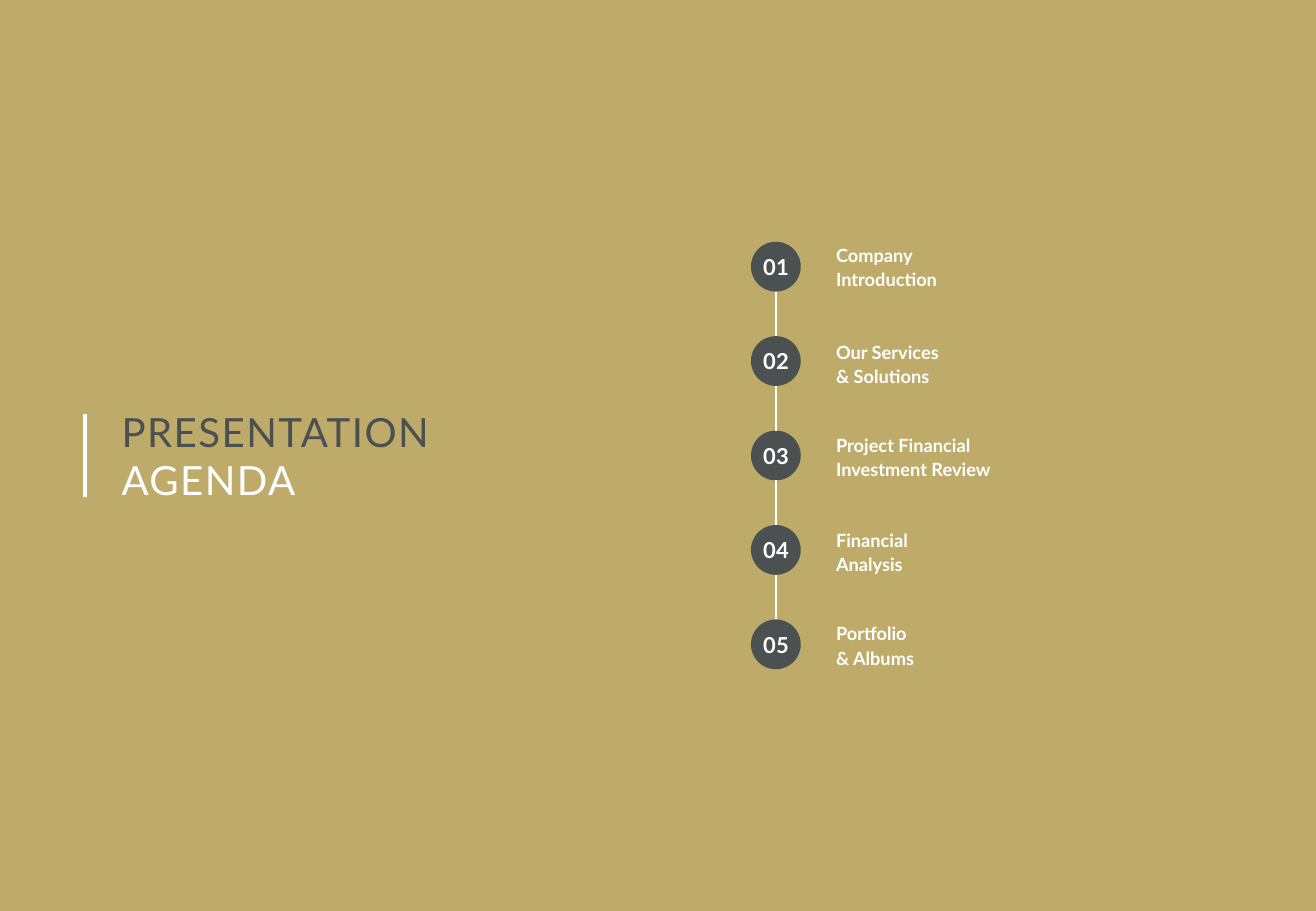
"""Build the presentation agenda slide with a five-step timeline."""
from dataclasses import dataclass

from lxml import etree
from pptx import Presentation
from pptx.dml.color import RGBColor
from pptx.enum.shapes import MSO_CONNECTOR, MSO_SHAPE
from pptx.enum.text import MSO_ANCHOR, MSO_AUTO_SIZE, PP_ALIGN
from pptx.oxml.ns import qn
from pptx.shapes.autoshape import Shape
from pptx.shapes.connector import Connector
from pptx.slide import Slide
from pptx.text.text import TextFrame, _Paragraph
from pptx.util import Inches, Pt

LINE, OVAL = MSO_CONNECTOR.STRAIGHT, MSO_SHAPE.OVAL
TOP, MIDDLE = MSO_ANCHOR.TOP, MSO_ANCHOR.MIDDLE
LEFT, CENTER = PP_ALIGN.LEFT, PP_ALIGN.CENTER
FIXED = MSO_AUTO_SIZE.NONE

GOLD = RGBColor(0xBE, 0xAA, 0x69)
SLATE = RGBColor(0x4B, 0x50, 0x50)
WHITE = RGBColor(0xFF, 0xFF, 0xFF)
FONT = "Lato"

DOT_X, DOT_SIZE = 6.18, 0.41
FIRST_Y, LAST_Y = 1.99, 5.1
LABEL_X = 6.88


@dataclass(frozen=True)
class Step:
    """Hold the two label lines of an agenda step and their top."""

    lines: tuple[str, str]
    top: float


STEPS = (
    Step(("Company", "Introduction"), 1.99),
    Step(("Our Services", "& Solutions"), 2.79),
    Step(("Project Financial", "Investment Review"), 3.56),
    Step(("Financial", "Analysis"), 4.34),
    Step(("Portfolio", "& Albums"), 5.11),
)


def set_frame(frame: TextFrame, anchor: MSO_ANCHOR, wrap: bool) -> None:
    """Clear the margins and set the anchor and wrapping."""
    frame.margin_left = frame.margin_right = 0
    frame.margin_top = frame.margin_bottom = 0
    frame.auto_size = FIXED
    frame.vertical_anchor = anchor
    frame.word_wrap = wrap


def add_run(para: _Paragraph, text: str, size: float, color: RGBColor,
            bold: bool = False, track: int = 0) -> None:
    """Add one run, with tracking in hundredths of a point."""
    run = para.add_run()
    run.text = text
    run.font.name = FONT
    run.font.size = Pt(size)
    run.font.bold = bold
    run.font.color.rgb = color
    if track:
        run.font._element.set("spc", str(track))


def add_line(slide: Slide, x: float, top: float, end: float,
             width: float) -> Connector:
    """Draw a white vertical line."""
    line = slide.shapes.add_connector(
        LINE, Inches(x), Inches(top), Inches(x), Inches(end))
    line.line.color.rgb = WHITE
    line.line.width = Pt(width)
    etree.SubElement(line._element.spPr, qn("a:effectLst"))
    return line


def add_title(slide: Slide) -> None:
    """Place the two-colour title."""
    title = slide.shapes.title
    title.left, title.top = Inches(1), Inches(3.35)
    title.width, title.height = Inches(4.29), Inches(0.8)
    frame = title.text_frame
    set_frame(frame, TOP, True)
    words = (("PRESENTATION", SLATE), ("AGENDA", WHITE))
    for i, (word, color) in enumerate(words):
        para = frame.add_paragraph() if i else frame.paragraphs[0]
        para.alignment = LEFT
        para.line_spacing = 1.0
        para.space_before = Pt(0)
        add_run(para, word, 23.8, color, track=90)


def add_dot(slide: Slide, y: float, num: int) -> Shape:
    """Draw a numbered circle."""
    dot = slide.shapes.add_shape(
        OVAL, Inches(DOT_X), Inches(y), Inches(DOT_SIZE), Inches(DOT_SIZE))
    dot.shadow.inherit = False
    dot.fill.solid()
    dot.fill.fore_color.rgb = SLATE
    dot.line.fill.background()
    set_frame(dot.text_frame, MIDDLE, False)
    para = dot.text_frame.paragraphs[0]
    para.alignment = CENTER
    add_run(para, f"{num:02}", 13, WHITE, True, 20)
    return dot


def add_label(slide: Slide, step: Step) -> None:
    """Write the label of a step."""
    box = slide.shapes.add_textbox(
        Inches(LABEL_X), Inches(step.top), Inches(1.95), Inches(0.4))
    frame = box.text_frame
    set_frame(frame, TOP, True)
    for i, text in enumerate(step.lines):
        para = frame.add_paragraph() if i else frame.paragraphs[0]
        para.line_spacing = 1.1
        add_run(para, text, 10.8, WHITE, True)


def main() -> None:
    """Build and save the slide."""
    deck = Presentation()
    deck.slide_width, deck.slide_height = Inches(10.83), Inches(7.5)
    slide = deck.slides.add_slide(deck.slide_layouts[5])
    slide.background.fill.solid()
    slide.background.fill.fore_color.rgb = GOLD
    add_line(slide, 0.7, 3.41, 4.09, 2.25)
    add_title(slide)
    pitch = (LAST_Y - FIRST_Y) / (len(STEPS) - 1)
    for i, step in enumerate(STEPS):
        y = FIRST_Y + i * pitch
        add_label(slide, step)
        dot = add_dot(slide, y, i + 1)
        if i:
            link = add_line(slide, DOT_X + DOT_SIZE / 2,
                            y - pitch + DOT_SIZE, y, 1)
            link.end_connect(dot, 0)
    deck.save("out.pptx")


if __name__ == "__main__":
    main()
